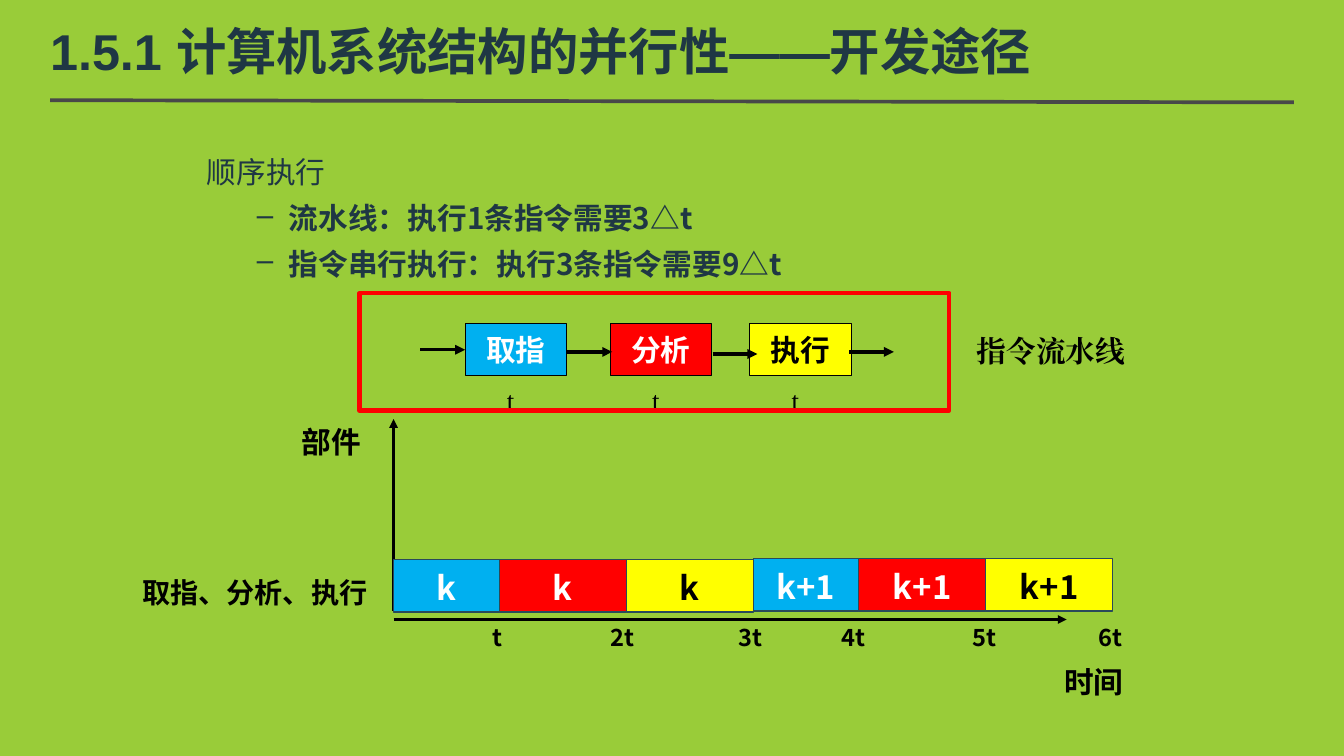
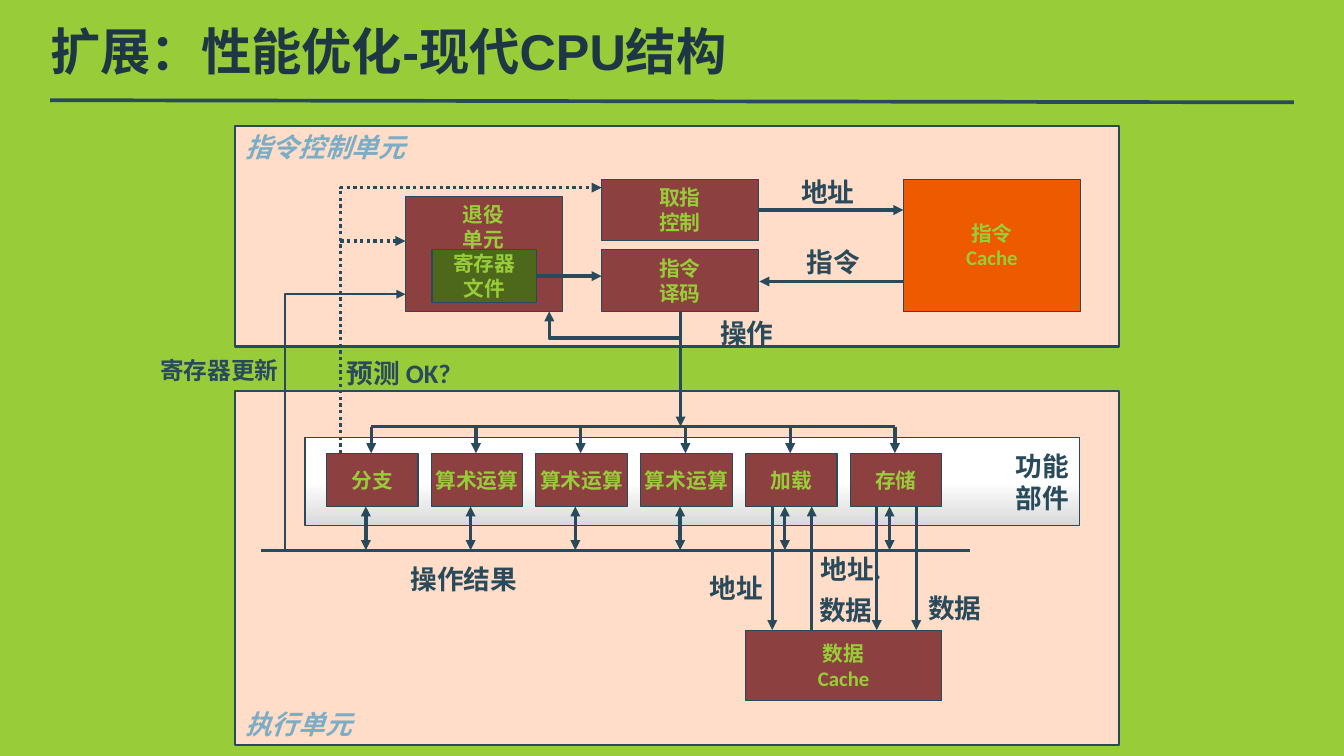
from lxml.etree import SubElement
from pptx import Presentation
from pptx.dml.color import RGBColor
from pptx.enum.dml import MSO_LINE
from pptx.enum.shapes import MSO_CONNECTOR, MSO_SHAPE
from pptx.enum.text import MSO_ANCHOR, PP_ALIGN
from pptx.oxml.ns import qn
from pptx.util import Inches, Pt

# The slide is a grid of square cells, ten to the inch.
COLUMNS, ROWS = 126, 70.9

GREEN, NAVY, SLATE, BLACK, WHITE = "99CC39", "1F3744", "294A5A", "000000", "FFFFFF"
BLUE, RED, YELLOW = "00B0F0", "FF0000", "FFFF00"
MAROON, ORANGE, OLIVE, PEACH, PALE_BLUE = "8C4040", "ED5A00", "4D681B", "FFDDC8", "7DADC4"
SANS = "Noto Sans CJK SC"
STAGES = [("取指", BLUE, WHITE), ("分析", RED, WHITE), ("执行", YELLOW, BLACK)]

ALIGN = {"l": PP_ALIGN.LEFT, "c": PP_ALIGN.CENTER, "r": PP_ALIGN.RIGHT}
ANCHOR = {"t": MSO_ANCHOR.TOP, "m": MSO_ANCHOR.MIDDLE, "b": MSO_ANCHOR.BOTTOM}


def cells(*counts):
    return [Inches(count / 10) for count in counts]


def rgb(hex_color):
    return RGBColor.from_string(hex_color)


def write(shape, text, size=18, font="Calibri", color=SLATE, bold=True, italic=False,
          align="c", anchor="t", wrap=False, inset=None):
    """Fill a shape with text, one paragraph per line."""
    frame = shape.text_frame
    frame.word_wrap = wrap
    frame.vertical_anchor = ANCHOR[anchor]
    if inset is not None:
        frame.margin_left = frame.margin_right = inset
        frame.margin_top = frame.margin_bottom = inset
    for number, line in enumerate(text.split("\n")):
        paragraph = frame.add_paragraph() if number else frame.paragraphs[0]
        paragraph.alignment = ALIGN[align]
        run = paragraph.add_run()
        run.text = line
        run.font.name = font
        run.font.size = Pt(size)
        run.font.bold = bold
        run.font.italic = italic
        run.font.color.rgb = rgb(color)
        SubElement(run.font._element, qn("a:ea"), typeface=font)
    return frame


def label(slide, area, text, **style):
    return write(slide.shapes.add_textbox(*cells(*area)), text, **style)


def box(slide, area, fill=None, text="", outline=SLATE, weight=0.75, **style):
    shape = slide.shapes.add_shape(MSO_SHAPE.RECTANGLE, *cells(*area))
    shape.shadow.inherit = False
    if fill:
        shape.fill.solid()
        shape.fill.fore_color.rgb = rgb(fill)
    else:
        shape.fill.background()
    shape.line.color.rgb = rgb(outline)
    shape.line.width = Pt(weight)
    if text:
        write(shape, text, **{"anchor": "m", **style})
    return shape


def stroke(slide, *points, color=SLATE, weight=2.25, dotted=False, ends=("tail",)):
    """Join points by a straight connector or a bent line, with arrowheads at ends."""
    corners = [cells(*point) for point in points]
    if len(corners) == 2:
        shape = slide.shapes.add_connector(MSO_CONNECTOR.STRAIGHT, *corners[0], *corners[1])
        SubElement(shape._element.spPr, qn("a:effectLst"))
    else:
        builder = slide.shapes.build_freeform(*corners[0])
        builder.add_line_segments(corners[1:], close=False)
        shape = builder.convert_to_shape()
        shape.fill.background()
        shape.shadow.inherit = False
    shape.line.color.rgb = rgb(color)
    shape.line.width = Pt(weight)
    if dotted:
        shape.line.dash_style = MSO_LINE.ROUND_DOT
    for end in ends:
        SubElement(shape.line._get_or_add_ln(), qn(f"a:{end}End"), type="triangle")


def titled_slide(deck, title, rule_color):
    slide = deck.slides.add_slide(deck.slide_layouts[6])
    stroke(slide, (4.7, 9.4), (121.3, 9.6), color=rule_color, weight=2.5, ends=())
    label(slide, (4.7, 1.6, 116.5, 6.3), title, size=34, font="Arial", color=NAVY,
          align="l", anchor="m", wrap=True, inset=0)
    return slide


def outline_text(slide):
    frame = label(slide, (18.4, 13, 88.4, 19.5),
                  "顺序执行\n流水线：执行1条指令需要3△t\n指令串行执行：执行3条指令需要9△t",
                  size=20, font=SANS, color=NAVY, align="l", wrap=True)
    for paragraph in frame.paragraphs:
        paragraph.line_spacing = Pt(31)
    frame.paragraphs[0].runs[0].font.bold = False
    for paragraph in frame.paragraphs[1:]:
        paragraph.level = 1
        properties = paragraph._p.get_or_add_pPr()
        properties.set("marL", str(Inches(0.77)))
        properties.set("indent", str(Inches(-0.3)))
        SubElement(properties, qn("a:buChar"), char="–")


def pipeline(slide):
    for (name, fill, color), left in zip(STAGES, (43.6, 57.2, 70.3)):
        box(slide, (left, 30.3, 9.5, 4.9), fill, name, outline=BLACK,
            size=20, font="Lato", color=color)
        label(slide, (left + 2.7, 35.5, 2.9, 4), "t", font="Times New Roman",
              color=BLACK, bold=False, align="r")
    for left, row in ((39.4, 32.8), (53.2, 33), (66.8, 33.2), (79.6, 33)):
        stroke(slide, (left, row), (left + 4.2, row), color=BLACK)
    box(slide, (33.7, 27.5, 55.3, 11), outline=RED, weight=3)
    label(slide, (90.6, 30.7, 18.3, 4.9), "指令流水线", size=20, font="Times New Roman",
          color=BLACK, align="l")


def timeline(slide):
    origin = 36.9
    stroke(slide, (origin, 58.1), (100, 58.1), color=BLACK, weight=1.5)
    stroke(slide, (origin, 57.3), (origin, 39.3), color=BLACK, weight=1.5)
    left = origin
    for instruction, top in (("k", 52.5), ("k+1", 52.4)):
        for (_, fill, color), width in zip(STAGES, (9.9, 11.9, 11.9)):
            box(slide, (left, top, width, 4.9), fill, instruction, size=22.2,
                font=SANS, color=color, anchor="b")
            left += width
    ticks = zip(("t", "2t", "3t", "4t", "5t", "6t"), (48.1, 60.5, 72.5, 82.1, 94.4, 106.2))
    for tick, right in ticks:
        label(slide, (right - 4.5, 57.9, 4.5, 4), tick, size=16, font=SANS,
              color=BLACK, align="r")
    for area, axis in (((26.8, 39.3, 8.5, 4.9), "部件"), ((98.3, 61.8, 8.5, 4.9), "时间")):
        label(slide, area, axis, size=20, font="Lato", color=BLACK)
    label(slide, (8.7, 53.5, 30.4, 4), "取指、分析、执行", size=19, font=SANS,
          color=BLACK, wrap=True)


def cpu_block(slide, area, text, fill=MAROON, anchor="m"):
    box(slide, area, fill, text, size=14, color=GREEN, anchor=anchor)


def cpu_panels(slide):
    for area, name, anchor in (((22, 36.7, 82.9, 33.2), "执行单元", "b"),
                               ((22, 11.8, 82.9, 20.7), "指令控制单元", "t")):
        box(slide, area, PEACH, name, weight=1.5, color=PALE_BLUE, italic=True,
            align="l", anchor=anchor)
    band = box(slide, (28.6, 41, 72.6, 8.3), WHITE, "功能\n部件", align="r")
    band.fill.gradient()
    band.fill.gradient_angle = 270
    for stop, position, color in zip(band.fill.gradient_stops, (0.5, 1), (WHITE, "D9D9D9")):
        stop.position = position
        stop.color.rgb = rgb(color)


def control_unit(slide):
    cpu_block(slide, (38, 18.4, 14.7, 10.8), "退役\n单元", anchor="t")
    cpu_block(slide, (40.5, 23.4, 9.8, 5), "寄存器\n文件", OLIVE)
    cpu_block(slide, (56.4, 16.8, 14.7, 5.8), "取指\n控制")
    cpu_block(slide, (56.4, 23.4, 14.7, 5.8), "指令\n译码")
    cpu_block(slide, (84.7, 16.8, 16.6, 12.4), "指令\nCache", ORANGE)
    for points in (((71.2, 19.7), (84.7, 19.7)),
                   ((84.7, 26.4), (71.2, 26.4)),
                   ((50.3, 25.9), (56.4, 25.9)),
                   ((63.8, 29.2), (63.8, 40)),
                   ((63.8, 31.7), (51.5, 31.7), (51.5, 29.2))):
        stroke(slide, *points)


def execution_unit(slide):
    bus_row, result_row, top, bottom, cache_top = 40, 51.6, 42.5, 47.5, 59.1
    first, pitch = 30.6, 9.82
    units = ["分支", "算术运算", "算术运算", "算术运算", "加载", "存储"]
    for number, unit in enumerate(units):
        left = first + number * pitch
        cpu_block(slide, (left, top, 8.6, bottom - top), unit)
        stroke(slide, (left + 4.2, bus_row), (left + 4.2, top))
        stroke(slide, (left + 3.7, bottom), (left + 3.7, result_row), ends=("head", "tail"))
    stroke(slide, (first + 4.2, bus_row), (first + 5 * pitch + 4.2, bus_row), ends=())
    stroke(slide, (24.5, result_row), (90.9, result_row), ends=())
    cpu_block(slide, (69.9, cache_top, 18.4, 6.6), "数据\nCache")
    for column in (72.4, 82.2, 85.9):
        stroke(slide, (column, bottom), (column, cache_top))
    stroke(slide, (76.1, cache_top), (76.1, bottom))
    stroke(slide, (31.9, top), (31.9, 17.6), (56.4, 17.6), dotted=True)
    stroke(slide, (31.9, 22.6), (38, 22.6), dotted=True)
    stroke(slide, (26.7, result_row), (26.7, 27.6), (38, 27.6), weight=1.5)


def signal_names(slide):
    for left, top, name in ((73.5, 16, "地址"), (74, 22.6, "指令"), (65.9, 29.2, "操作"),
                            (85.4, 55, "数据"), (75.2, 55.2, "数据"), (64.9, 53.1, "地址")):
        label(slide, (left, top, 8.2, 4), name, wrap=True)
    label(slide, (75.3, 51.4, 9, 4), "地址.", wrap=True)
    label(slide, (31.5, 33, 13.9, 4), "预测 OK?", align="l", wrap=True)
    label(slide, (37.5, 52.3, 14.1, 4), "操作结果", align="l", wrap=True)
    label(slide, (11.7, 32.9, 15.4, 3.7), "寄存器更新", size=16, align="r", wrap=True)


def main():
    deck = Presentation()
    deck.slide_width, deck.slide_height = cells(COLUMNS, ROWS)
    background = deck.slide_master.background.fill
    background.solid()
    background.fore_color.rgb = rgb(GREEN)

    parallelism = titled_slide(deck, "1.5.1 计算机系统结构的并行性——开发途径", "484849")
    for part in (outline_text, pipeline, timeline):
        part(parallelism)

    processor = titled_slide(deck, "扩展：性能优化-现代CPU结构", SLATE)
    for part in (cpu_panels, control_unit, execution_unit, signal_names):
        part(processor)

    deck.save("out.pptx")


if __name__ == "__main__":
    main()
